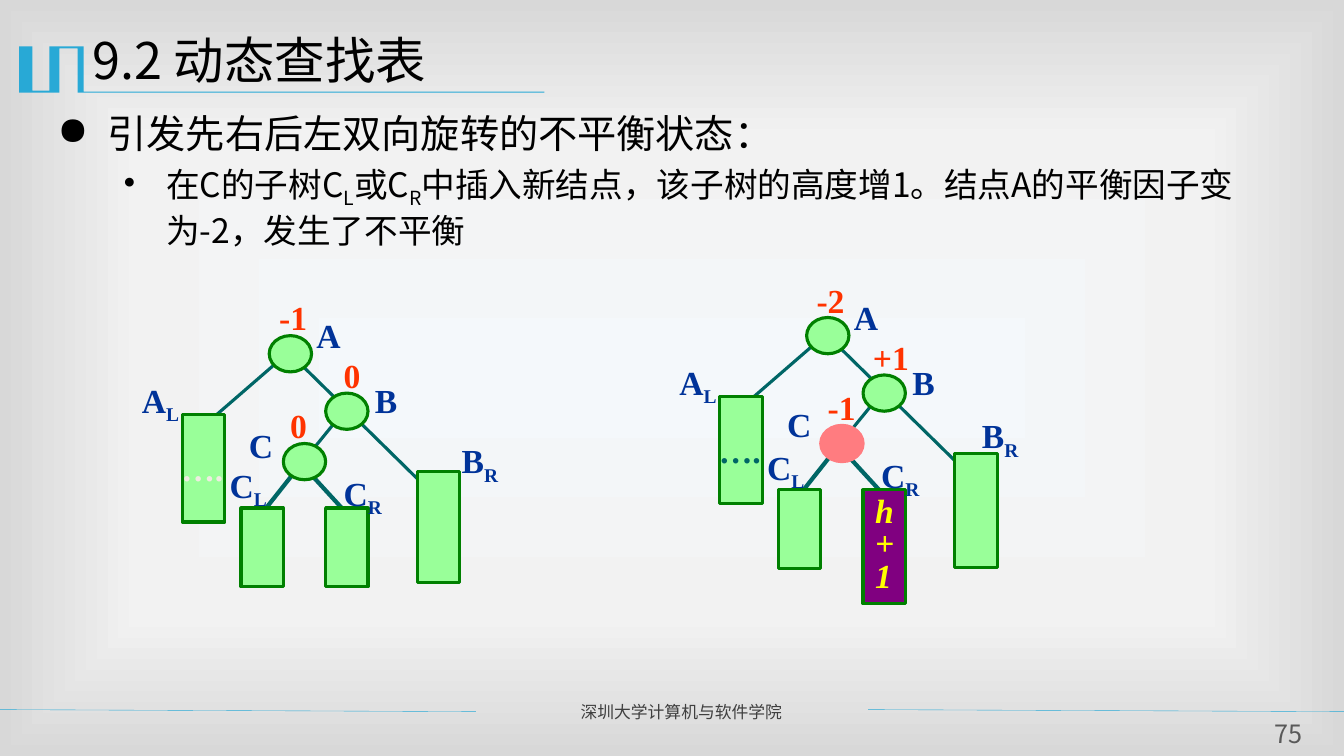
import dataclasses

import pptx
import pptx.dml.color
import pptx.enum.shapes
import pptx.enum.text
import pptx.oxml
import pptx.oxml.ns
import pptx.util

RGB = pptx.dml.color.RGBColor
KIND = pptx.enum.shapes.MSO_SHAPE
ALIGN = pptx.enum.text.PP_ALIGN
ANCHOR = pptx.enum.text.MSO_ANCHOR

PX = 9144  # 100 px to the inch
SANS = "Noto Sans CJK SC"
SERIF = "Times New Roman"
BLACK = RGB(0x00, 0x00, 0x00)
DARK = RGB(0x3F, 0x3F, 0x3F)
GREY = RGB(0x59, 0x59, 0x59)
CYAN = RGB(0x28, 0xA9, 0xD6)
RED = RGB(0xFF, 0x33, 0x00)
NAVY = RGB(0x00, 0x33, 0x99)
TEAL = RGB(0x00, 0x66, 0x66)
LIME = RGB(0x99, 0xFF, 0x99)
GREEN = RGB(0x00, 0x80, 0x00)
PINK = RGB(0xFF, 0x7C, 0x80)
PURPLE = RGB(0x80, 0x00, 0x80)
YELLOW = RGB(0xFF, 0xFF, 0x00)
CREAM = RGB(0xEE, 0xEC, 0xE1)

BACK = """<p:bg %s><p:bgPr><a:gradFill><a:gsLst>
<a:gs pos="0"><a:srgbClr val="F4F8FB"/></a:gs>
<a:gs pos="63000"><a:srgbClr val="F2F2F2"/></a:gs>
<a:gs pos="100000"><a:srgbClr val="D8D8D8"/></a:gs></a:gsLst>
<a:path path="rect"><a:fillToRect l="50000" t="50000" r="50000" b="50000"/></a:path>
</a:gradFill><a:effectLst/></p:bgPr></p:bg>""" % pptx.oxml.ns.nsdecls("p", "a")


@dataclasses.dataclass(frozen=True)
class Style:
    size: int
    color: RGB
    face: str = SANS
    bold: bool = False
    slant: bool = False


@dataclasses.dataclass(frozen=True)
class Label:
    text: str
    x: int
    y: int
    w: int


@dataclasses.dataclass(frozen=True)
class Edge:
    x1: int
    y1: int
    x2: int
    y2: int
    width: float = 2.25


@dataclasses.dataclass(frozen=True)
class Tree:
    """A tree drawn at an offset, with its state."""
    dx: int
    dy: int
    marks: tuple[Label, ...]
    names: tuple[Label, ...]
    right: int  # height of subtree BR
    inner: int  # height of subtree CR
    fill: RGB
    rim: RGB
    grown: RGB
    dots: RGB


MARK = Style(24, RED, SERIF, True)
NAME = Style(24, NAVY, SERIF, True)
EDGES = (
    Edge(298, 461, 264, 504, 3), Edge(306, 468, 339, 504, 3),
    Edge(273, 361, 198, 426), Edge(298, 361, 414, 475), Edge(333, 418, 298, 461),
)
NAMES = (
    Label("A", 304, 308, 44), Label("B", 362, 372, 42),
    Label("A_L", 131, 372, 59), Label("C_L", 218, 456, 59), Label("C_R", 331, 464, 60),
)
TREES = (
    Tree(0, 0, (Label("-1", 267, 290, 48), Label("0", 331, 347, 37), Label("0", 278, 397, 37)),
         NAMES + (Label("C", 237, 417, 44), Label("B_R", 448, 432, 58)),
         110, 78, LIME, GREEN, LIME, CREAM),
    Tree(533, -18, (Label("-2", 267, 291, 48), Label("+1", 323, 347, 56), Label("-1", 278, 397, 48)),
         NAMES + (Label("C", 238, 414, 44), Label("B_R", 431, 425, 58)),
         113, 113, PINK, PINK, PURPLE, TEAL),
)


def write(para, text: str, style: Style) -> None:
    """Fill a paragraph; every second part between underscores is a subscript."""
    for i, part in enumerate(text.split("_")):
        run = para.add_run()
        run.text = part
        font = run.font
        font.size = pptx.util.Pt(style.size)
        font.color.rgb = style.color
        font.name = style.face
        font.bold = style.bold
        font.italic = style.slant
        props = run._r.get_or_add_rPr()
        east = pptx.oxml.parse_xml("<a:ea %s/>" % pptx.oxml.ns.nsdecls("a"))
        east.set("typeface", style.face)
        props.append(east)
        if i % 2:
            props.set("baseline", "-25000")


def add_text(slide, text: str, style: Style, x: int, y: int, w: int, h: int, wrap: bool = False):
    frame = slide.shapes.add_textbox(x * PX, y * PX, w * PX, h * PX).text_frame
    frame.word_wrap = wrap
    for i, line in enumerate(text.split("\n")):
        para = frame.add_paragraph() if i else frame.paragraphs[0]
        write(para, line, style)
    return frame


def add_line(slide, edge: Edge, color: RGB, dx: int = 0, dy: int = 0) -> None:
    line = slide.shapes.add_connector(
        pptx.enum.shapes.MSO_CONNECTOR.STRAIGHT,
        (edge.x1 + dx) * PX, (edge.y1 + dy) * PX, (edge.x2 + dx) * PX, (edge.y2 + dy) * PX)
    line.line.color.rgb = color
    line.line.width = pptx.util.Pt(edge.width)
    line._element.spPr.append(pptx.oxml.parse_xml("<a:effectLst %s/>" % pptx.oxml.ns.nsdecls("a")))


def add_node(slide, kind: KIND, x: int, y: int, h: int, fill: RGB = LIME, rim: RGB = GREEN):
    node = slide.shapes.add_shape(kind, x * PX, y * PX, 42 * PX, h * PX)
    node.shadow.inherit = False
    node.fill.solid()
    node.fill.fore_color.rgb = fill
    node.line.color.rgb = rim
    node.line.width = pptx.util.Pt(2.25)
    return node


def add_bullet(para, sign: str, left: int, hang: int) -> None:
    props = para._p.get_or_add_pPr()
    props.set("marL", str(left * PX))
    props.set("indent", str(-hang * PX))
    mark = pptx.oxml.parse_xml("<a:buChar %s/>" % pptx.oxml.ns.nsdecls("a"))
    mark.set("char", sign)
    props.append(mark)


def draw_tree(slide, tree: Tree) -> None:
    dx, dy = tree.dx, tree.dy
    for edge in EDGES:
        add_line(slide, edge, TEAL, dx, dy)
    left = add_node(slide, KIND.RECTANGLE, 181 + dx, 411 + dy, 107)
    left.text_frame.word_wrap = False
    left.text_frame.vertical_anchor = ANCHOR.MIDDLE
    para = left.text_frame.paragraphs[0]
    para.alignment = ALIGN.CENTER
    write(para, "….", Style(24, tree.dots, SERIF, True, True))
    for x, y in ((323, 390), (267, 333)):
        add_node(slide, KIND.OVAL, x + dx, y + dy, 36)
    add_node(slide, KIND.OVAL, 281 + dx, 440 + dy, 36, tree.fill, tree.rim)
    add_node(slide, KIND.RECTANGLE, 414 + dx, 468 + dy, tree.right)
    add_node(slide, KIND.RECTANGLE, 239 + dx, 504 + dy, 78)
    add_node(slide, KIND.RECTANGLE, 323 + dx, 504 + dy, tree.inner, tree.grown)
    for group, style in ((tree.marks, MARK), (tree.names, NAME)):
        for label in group:
            add_text(slide, label.text, style, label.x + dx, label.y + dy, label.w, 50)


def draw_frame(slide) -> None:
    """Draw the title ornament and the footer."""
    outline = ((83, 46), (83, 91), (540, 91), (540, 92), (77, 92), (77, 48), (59, 48), (59, 92),
               (19, 92), (19, 46), (32, 46), (32, 90), (49, 90), (49, 46))
    build = slide.shapes.build_freeform(*outline[0], scale=PX)
    build.add_line_segments(outline[1:], close=True)
    shape = build.convert_to_shape()
    shape.shadow.inherit = False
    shape.fill.solid()
    shape.fill.fore_color.rgb = CYAN
    shape.line.fill.background()
    for x1, x2 in ((0, 472), (861, 1333)):
        add_line(slide, Edge(x1, 704, x2, 706, 0.25), CYAN)
    add_text(slide, "深圳大学计算机与软件学院", Style(12, DARK), 566, 691, 285, 30, True)
    page = add_text(slide, "75", Style(18, GREY), 1248, 713, 59, 31, True)
    page.margin_left = page.margin_top = page.margin_right = page.margin_bottom = 0
    page.paragraphs[0].alignment = ALIGN.CENTER


def main() -> None:
    deck = pptx.Presentation()
    deck.slide_width, deck.slide_height = 1333 * PX, 750 * PX
    slide = deck.slides.add_slide(deck.slide_layouts[6])
    slide._element.cSld.insert(0, pptx.oxml.parse_xml(BACK))
    draw_frame(slide)
    add_text(slide, "9.2 动态查找表", Style(36, BLACK), 82, 24, 1200, 87, True)
    body = add_text(slide, "引发先右后左双向旋转的不平衡状态：", Style(28, BLACK), 47, 104, 1213, 183, True)
    add_bullet(body.paragraphs[0], "●", 50, 50)
    point = body.add_paragraph()
    point.space_before = pptx.util.Pt(5)
    add_bullet(point, "•", 108, 42)
    write(point, "在C的子树C_L_或C_R_中插入新结点，该子树的高度增1。结点A的平衡因子变为-2，发生了不平衡",
          Style(24, BLACK))
    for tree in TREES:
        draw_tree(slide, tree)
    grown = add_text(slide, "h\n+\n1", Style(24, YELLOW, SERIF, True, True), 858, 489, 39, 107, True)
    for para in grown.paragraphs:
        para.line_spacing = 0.8
    deck.save("out.pptx")


if __name__ == "__main__":
    main()
